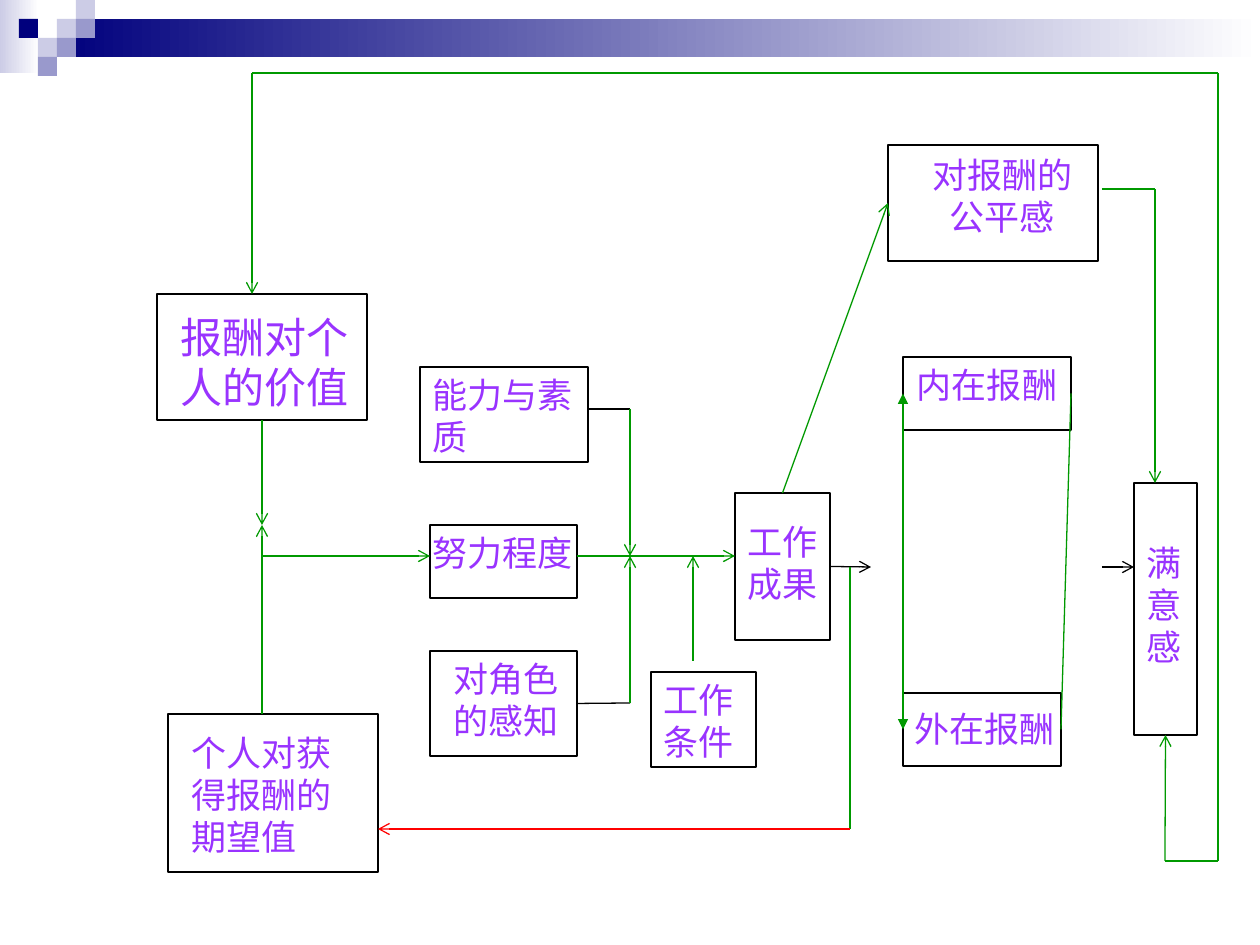
"""Build a flowchart slide linking effort, performance, rewards and satisfaction."""
from lxml.etree import SubElement
from pptx import Presentation
from pptx.dml.color import RGBColor
from pptx.enum.shapes import MSO_CONNECTOR, MSO_SHAPE
from pptx.enum.text import MSO_AUTO_SIZE, PP_ALIGN
from pptx.oxml.ns import qn
from pptx.util import Emu, Pt

EMU_PER_PX = 914400 / 126
FONT = "Times New Roman"
COLORS = {
    "navy": "00007D", "mid": "9999CC", "light": "CCCCE6", "white": "FFFFFF",
    "black": "000000", "green": "009900", "red": "FF0000", "purple": "9933FF",
}
LEFT, CENTER = PP_ALIGN.LEFT, PP_ALIGN.CENTER
TOP_SIDE, LEFT_SIDE, BOTTOM_SIDE, RIGHT_SIDE = range(4)

BANDS = [((0, 0, 39, 73), "light"), ((57, 19, 1203, 38), "navy")]
CELL = 19
CELLS = [
    (3, 1, "light"), (4, 0, "light"), (4, 1, "mid"), (2, 2, "light"),
    (1, 1, "navy"), (3, 2, "mid"), (2, 3, "mid"),
]

BOXES = {
    "value": ((157, 294, 210, 126), "报酬对个人的价值", (168, 305, 199, 113), 24, LEFT),
    "ability": ((420, 367, 168, 95), "能力与素质", (420, 367, 168, 97), 20, LEFT),
    "effort": ((430, 525, 147, 73), "努力程度", (420, 525, 168, 55), 20, LEFT),
    "role": ((430, 651, 147, 105), "对角色的感知", (441, 651, 136, 97), 20, LEFT),
    "conditions": ((651, 672, 105, 95), "工作条件", (651, 672, 126, 97), 20, LEFT),
    "result": ((735, 493, 95, 147), "工作成果", (735, 514, 116, 97), 20, LEFT),
    "fairness": ((888, 145, 210, 116), "对报酬的公平感", (903, 147, 199, 97), 20, CENTER),
    "intrinsic": ((903, 357, 168, 73), "内在报酬", (903, 357, 168, 55), 20, CENTER),
    "extrinsic": ((903, 693, 158, 73), "外在报酬", (902, 701, 179, 55), 20, LEFT),
    "satisfaction": ((1134, 483, 63, 252), "满意感", (1134, 535, 53, 139), 20, LEFT),
    "expectation": ((168, 714, 210, 158), "个人对获得报酬的期望值", (179, 725, 189, 139), 20, LEFT),
}

LINES = [
    (("value", BOTTOM_SIDE), (262, 525), "green", None, "arrow"),
    ((262, 714), (262, 525), "green", None, "arrow"),
    ((262, 556), (430, 556), "green", None, "arrow"),
    ((577, 556), (735, 556), "green", None, "arrow"),
    ((588, 409), (630, 409), "black", None, None),
    ((630, 409), (630, 556), "green", None, "arrow"),
    (("role", RIGHT_SIDE), (630, 703), "black", None, None),
    ((630, 703), (630, 556), "green", None, "arrow"),
    ((693, 661), (693, 556), "green", None, "arrow"),
    ((1102, 189), (1155, 189), "green", None, None),
    ((1155, 189), (1155, 483), "green", None, "arrow"),
    (("intrinsic", LEFT_SIDE), ("extrinsic", LEFT_SIDE), "green", "triangle", "triangle"),
    (("result", RIGHT_SIDE), (871, 567), "black", None, "arrow"),
    (("intrinsic", RIGHT_SIDE), ("extrinsic", RIGHT_SIDE), "green", None, None),
    ((1102, 567), (1134, 567), "black", None, "arrow"),
    ((850, 567), (850, 829), "green", None, None),
    ((850, 829), (378, 829), "red", None, "arrow"),
    (("result", TOP_SIDE), ("fairness", LEFT_SIDE), "green", None, "arrow"),
    ((252, 73), (252, 294), "green", None, "arrow"),
    ((252, 73), (1218, 73), "green", None, None),
    ((1218, 73), (1218, 861), "green", None, None),
    ((1165, 861), ("satisfaction", BOTTOM_SIDE), "green", None, "arrow"),
    ((1165, 861), (1218, 861), "green", None, None),
]


def px(*lengths):
    return [Emu(round(length * EMU_PER_PX)) for length in lengths]


def rgb(name):
    return RGBColor.from_string(COLORS[name])


def add_rect(shapes, place, fill, border=None, fade=False):
    rect = shapes.add_shape(MSO_SHAPE.RECTANGLE, *px(*place))
    rect.shadow.inherit = False
    if fade:
        rect.fill.gradient()
        rect.fill.gradient_angle = 0
        for stop, color in zip(rect.fill.gradient_stops, (fill, "white")):
            stop.color.rgb = rgb(color)
    else:
        rect.fill.solid()
        rect.fill.fore_color.rgb = rgb(fill)
    if border:
        rect.line.color.rgb = rgb(border)
        rect.line.width = Pt(0.75)
    else:
        rect.line.fill.background()
    return rect


def add_label(shapes, words, place, size, align):
    frame = shapes.add_textbox(*px(*place)).text_frame
    frame.word_wrap = True
    frame.auto_size = MSO_AUTO_SIZE.SHAPE_TO_FIT_TEXT
    label = frame.paragraphs[0]
    label.text = words
    label.alignment = align
    label.font.name = FONT
    label.font.size = Pt(size)
    label.font.color.rgb = rgb("purple")


def locate(end):
    if not isinstance(end[0], str):
        return end
    box, side = end
    x, y, w, h = BOXES[box][0]
    return [(x + w / 2, y), (x, y + h / 2), (x + w / 2, y + h), (x + w, y + h / 2)][side]


def add_line(shapes, rects, start, end, color, head, tail):
    line = shapes.add_connector(MSO_CONNECTOR.STRAIGHT, *px(*locate(start), *locate(end)))
    for point, connect in ((start, line.begin_connect), (end, line.end_connect)):
        if isinstance(point[0], str):
            connect(rects[point[0]], point[1])
    line.line.color.rgb = rgb(color)
    line.line.width = Pt(0.75)
    properties = line._element.spPr
    stroke = properties.find(qn("a:ln"))
    for tag, arrow in (("a:headEnd", head), ("a:tailEnd", tail)):
        if arrow:
            SubElement(stroke, qn(tag), type=arrow)
    SubElement(properties, qn("a:effectLst"))


def main():
    deck = Presentation()
    deck.slide_width, deck.slide_height = px(1260, 945)
    shapes = deck.slides.add_slide(deck.slide_layouts[6]).shapes

    banner = shapes.add_group_shape().shapes
    for place, color in BANDS:
        add_rect(banner, place, color, fade=True)
    for column, row, color in CELLS:
        add_rect(banner, (column * CELL, row * CELL, CELL, CELL), color)

    rects = {}
    for name, (place, words, label_place, size, align) in BOXES.items():
        rects[name] = add_rect(shapes, place, "white", "black")
        add_label(shapes, words, label_place, size, align)
    for line in LINES:
        add_line(shapes, rects, *line)

    deck.save("out.pptx")


if __name__ == "__main__":
    main()
